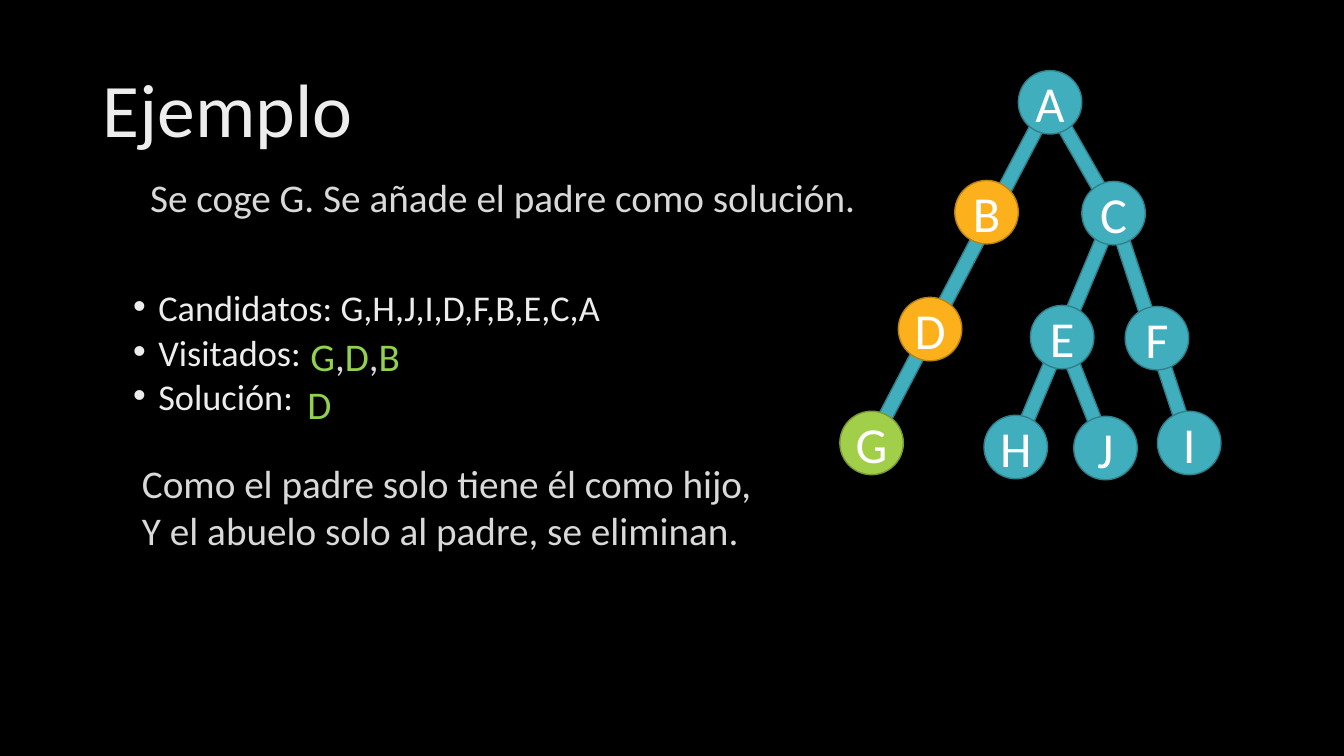
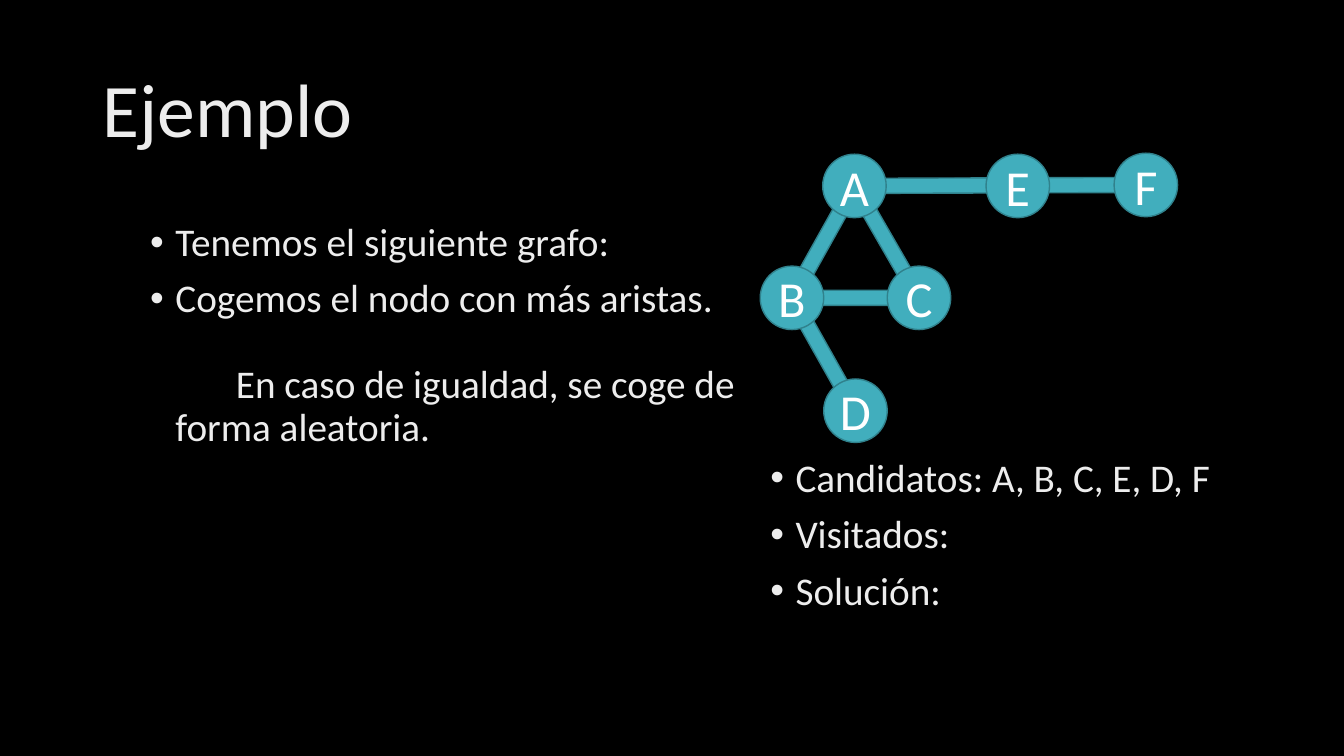
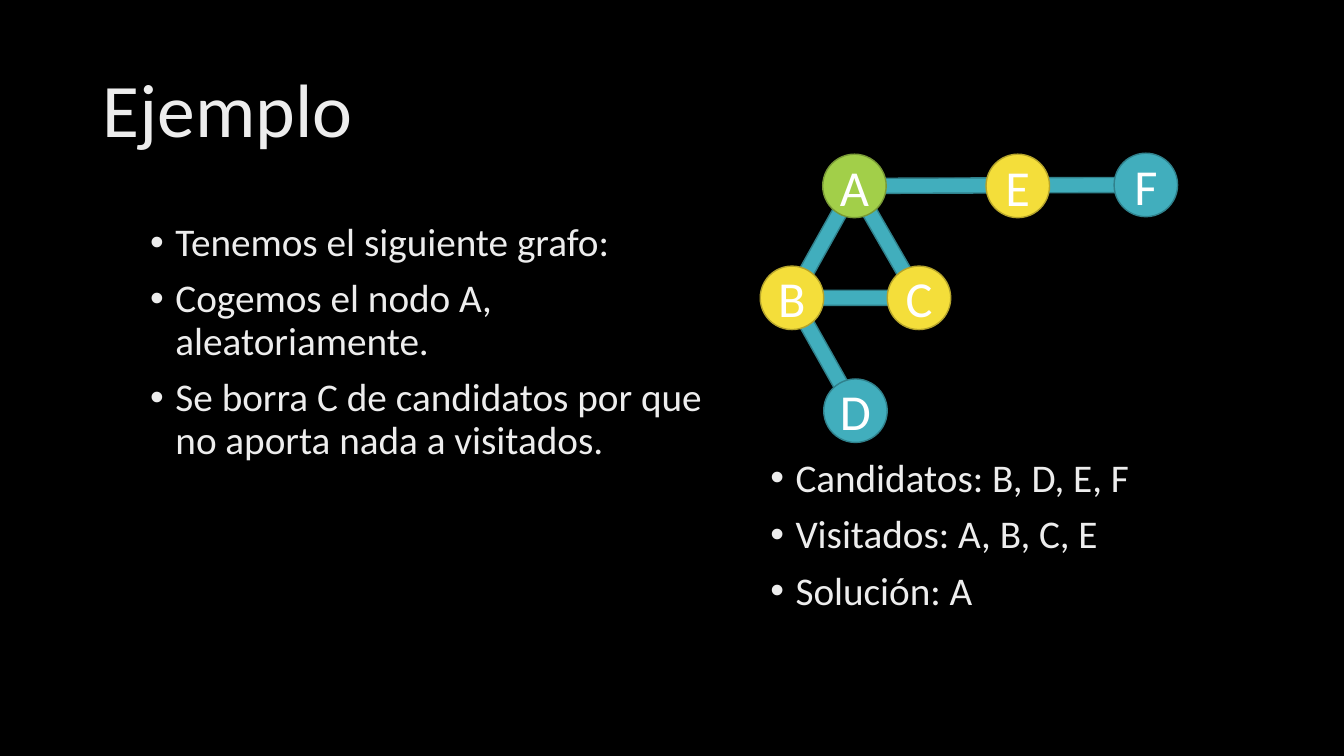
from math import atan2, degrees, hypot

from pptx import Presentation
from pptx.dml.color import RGBColor
from pptx.enum.shapes import MSO_SHAPE
from pptx.enum.text import MSO_ANCHOR, MSO_AUTO_SIZE, PP_ALIGN
from pptx.util import Inches, Pt

# Shared style
FONT = "Calibri"
BACKGROUND = "000000"
LIGHT = "EDEDED"
GREY = "D9D9D9"
WHITE = "FFFFFF"
LIME = "92D050"
# Node styles: fill and outline
TEAL = ("41AEBD", "30818C")
GREEN = ("A2CF49", "789936")
ORANGE = ("FCB11C", "BA8315")
YELLOW = ("F4DE3A", "B5A42B")

NODE_SIZE = 0.63
TITLE_BOX = (0.92, 0.4, 11.5, 1.45)

# Nodes: left and top inside the graph's box; edges: start, end
TREE_NODES = {
    "A": (1.77, 0), "B": (1.14, 1.09), "C": (2.4, 1.1), "D": (0.58, 2.25),
    "E": (1.89, 2.33), "F": (2.83, 2.34), "G": (0, 3.38), "H": (1.43, 3.42),
    "J": (2.32, 3.43), "I": (3.15, 3.38),
}
TREE_EDGES = ["EJ", "CH", "AC", "CI", "GA"]
GRAPH_NODES = {
    "A": (0.62, 0.01), "B": (0, 1.12), "C": (1.26, 1.12),
    "D": (0.63, 2.24), "E": (2.24, 0.01), "F": (3.51, 0),
}
GRAPH_EDGES = ["AC", "BD", "BA", "AF", "BC"]


def color(value):
    return RGBColor.from_string(value)


def place(shape, box):
    shape.left, shape.top, shape.width, shape.height = map(Inches, box)


def format_run(run, size, value):
    run.font.name = FONT
    run.font.size = Pt(size)
    run.font.color.rgb = color(value)


def paint(shape, style):
    fill, outline = style
    shape.shadow.inherit = False
    shape.fill.solid()
    shape.fill.fore_color.rgb = color(fill)
    shape.line.color.rgb = color(outline)
    shape.line.width = Pt(1)


def add_title(slide, box=TITLE_BOX):
    title = slide.shapes.title
    place(title, box)
    title.text_frame.text = "Ejemplo"
    title.text_frame.vertical_anchor = MSO_ANCHOR.MIDDLE
    title.text_frame.auto_size = MSO_AUTO_SIZE.NONE
    paragraph = title.text_frame.paragraphs[0]
    paragraph.alignment = PP_ALIGN.LEFT
    paragraph.line_spacing = 0.9
    format_run(paragraph.runs[0], 54, LIGHT)


def fill_list(placeholder, box, items, size=28, line_spacing=0.9):
    """Write a bulleted list into a body placeholder."""
    place(placeholder, box)
    text_frame = placeholder.text_frame
    text_frame.text = "\n".join(items)
    text_frame.auto_size = MSO_AUTO_SIZE.NONE
    for paragraph in text_frame.paragraphs:
        paragraph.line_spacing = line_spacing
        paragraph.space_before = Pt(10)
        properties = paragraph._p.get_or_add_pPr()
        properties.set("marL", str(Inches(0.25)))
        properties.set("indent", str(Inches(-0.25)))
        format_run(paragraph.runs[0], size, LIGHT)
    return text_frame


def add_note(slide, box, lines):
    """Add a text box; each line is a list of (text, colour) runs."""
    note = slide.shapes.add_textbox(*map(Inches, box))
    text_frame = note.text_frame
    text_frame.word_wrap = True
    for index, line in enumerate(lines):
        paragraph = text_frame.add_paragraph() if index else text_frame.paragraphs[0]
        for text, value in line:
            run = paragraph.add_run()
            run.text = text
            format_run(run, 28, value)


def add_edge(slide, start, end, thickness):
    """Lay an arrow between two node centres."""
    (x1, y1), (x2, y2) = start, end
    length = hypot(x2 - x1, y2 - y1)
    left = (x1 + x2 - length) / 2
    top = (y1 + y2 - thickness) / 2
    edge = slide.shapes.add_shape(
        MSO_SHAPE.RIGHT_ARROW, *map(Inches, (left, top, length, thickness)))
    edge.rotation = degrees(atan2(y2 - y1, x2 - x1)) % 360
    paint(edge, TEAL)


def add_node(slide, left, top, name, style):
    node = slide.shapes.add_shape(
        MSO_SHAPE.OVAL, *map(Inches, (left, top, NODE_SIZE, NODE_SIZE)))
    paint(node, style)
    text_frame = node.text_frame
    text_frame.margin_left = text_frame.margin_right = 0
    text_frame.margin_top = text_frame.margin_bottom = 0
    text_frame.word_wrap = False
    text_frame.vertical_anchor = MSO_ANCHOR.MIDDLE
    text_frame.text = name
    paragraph = text_frame.paragraphs[0]
    paragraph.alignment = PP_ALIGN.CENTER
    format_run(paragraph.runs[0], 36, WHITE)


def add_graph(slide, left, top, nodes, edges, styles, thickness):
    """Draw edges first so that the nodes cover their ends."""
    centers = {name: (left + x + NODE_SIZE / 2, top + y + NODE_SIZE / 2)
               for name, (x, y) in nodes.items()}
    for start, end in edges:
        add_edge(slide, centers[start], centers[end], thickness)
    for name, (x, y) in nodes.items():
        add_node(slide, left + x, top + y, name, styles.get(name, TEAL))


def add_tree_slide(presentation):
    slide = presentation.slides.add_slide(presentation.slide_layouts[1])
    add_title(slide, (0.92, 0.4, 7.14, 1.45))
    fill_list(slide.placeholders[1], (1.22, 2.9, 6.98, 1.35),
              ["Candidatos: G,H,J,I,D,F,B,E,C,A", "Visitados:", "Solución:"],
              size=25.9, line_spacing=0.7)
    add_graph(slide, 8.33, 0.7, TREE_NODES, TREE_EDGES,
              {"G": GREEN, "D": ORANGE, "B": ORANGE}, 0.28)
    # Explanations
    add_note(slide, (1.39, 1.67, 7.36, 0.57),
             [[("Se coge G. Se añade el padre como solución.", GREY)]])
    add_note(slide, (1.31, 4.51, 6.35, 1.04),
             [[("Como el padre solo tiene él como hijo,", GREY)],
              [("Y el abuelo solo al padre, se eliminan.", GREY)]])
    # Values beside the list
    add_note(slide, (2.98, 3.25, 1.16, 0.57),
             [[("G", LIME), (",", GREY), ("D", LIME), (",", GREY), ("B", LIME)]])
    add_note(slide, (2.95, 3.72, 0.46, 0.57), [[("D", LIME)]])


def add_graph_slide(presentation, steps, state, styles):
    """Add a slide with steps at left, graph and state at right."""
    slide = presentation.slides.add_slide(presentation.slide_layouts[3])
    add_title(slide)
    steps_frame = fill_list(slide.placeholders[1], (1.39, 2.16, 6.05, 4.76), steps)
    fill_list(slide.placeholders[2], (7.54, 4.5, 5.5, 2.5), state)
    add_graph(slide, 7.54, 1.52, GRAPH_NODES, GRAPH_EDGES, styles, 0.3)
    return steps_frame


def indent_remark(paragraph):
    """Turn a list item into an indented remark without a bullet."""
    paragraph.space_before = Pt(31)
    properties = paragraph._p.get_or_add_pPr()
    properties.set("indent", str(Inches(0.6)))
    properties.append(properties.makeelement(
        "{http://schemas.openxmlformats.org/drawingml/2006/main}buNone", {}))


def main():
    presentation = Presentation()
    presentation.slide_width = Inches(13.33)
    presentation.slide_height = Inches(7.5)
    background = presentation.slide_master.background.fill
    background.solid()
    background.fore_color.rgb = color(BACKGROUND)

    add_tree_slide(presentation)
    steps_frame = add_graph_slide(
        presentation,
        ["Tenemos el siguiente grafo:",
         "Cogemos el nodo con más aristas.",
         "En caso de igualdad, se coge de forma aleatoria."],
        ["Candidatos: A, B, C, E, D, F", "Visitados:", "Solución:"],
        {})
    indent_remark(steps_frame.paragraphs[2])
    add_graph_slide(
        presentation,
        ["Tenemos el siguiente grafo:",
         "Cogemos el nodo A, aleatoriamente.",
         "Se borra C de candidatos por que no aporta nada a visitados."],
        ["Candidatos: B, D, E, F", "Visitados: A, B, C, E", "Solución: A"],
        {"A": GREEN, "B": YELLOW, "C": YELLOW, "E": YELLOW})
    presentation.save("out.pptx")


if __name__ == "__main__":
    main()
